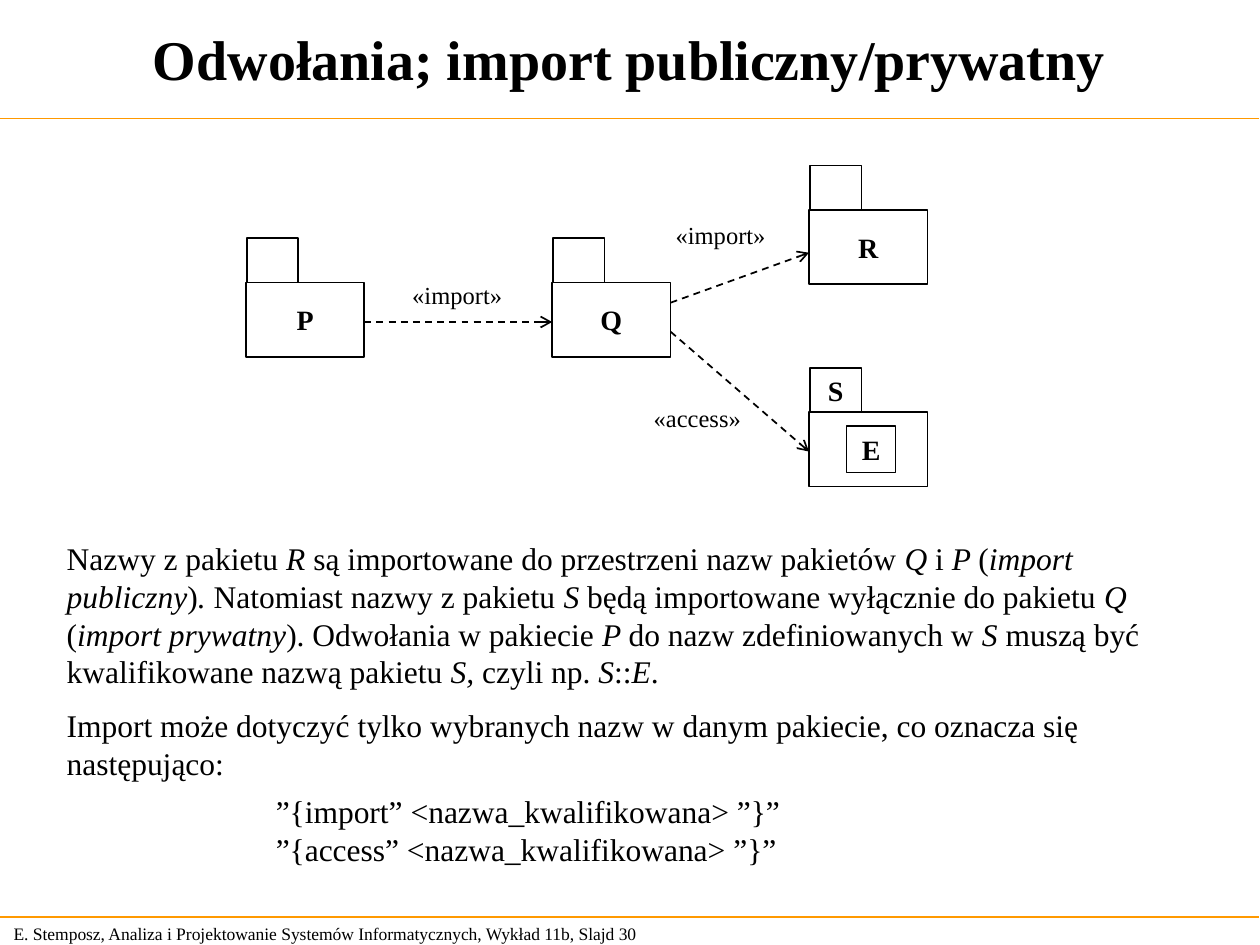
from dataclasses import dataclass
from lxml.etree import SubElement
from pptx import Presentation
from pptx.dml.color import RGBColor as RGB
from pptx.enum.dml import MSO_LINE as Dash
from pptx.enum.shapes import MSO_CONNECTOR as Conn, MSO_SHAPE as Shape
from pptx.enum.text import MSO_ANCHOR as Anchor, MSO_AUTO_SIZE as Fit, PP_ALIGN as Align
from pptx.oxml.ns import qn
from pptx.util import Pt


@dataclass(frozen=True)
class Theme:
    font: str = "Times New Roman"
    ink: RGB = RGB(0, 0, 0)
    rule: RGB = RGB(0xFF, 0x99, 0x00)
    title: int = 32
    body: int = 18
    name: int = 16
    label: int = 14
    foot: int = 10


THEME = Theme()

TITLE = "Odwołania; import publiczny/prywatny"
FOOT = "E. Stemposz, Analiza i Projektowanie Systemów Informatycznych, Wykład 11b, Slajd 30"
# Asterisks enclose italic words
BODY = [
    "Nazwy z pakietu *R *są importowane do przestrzeni nazw pakietów *Q* i *P *"
    "(*import publiczny*)*. *Natomiast nazwy z pakietu *S *będą importowane "
    "wyłącznie do pakietu *Q* (*import prywatny*). Odwołania w pakiecie *P *do nazw "
    "zdefiniowanych w *S *muszą być kwalifikowane nazwą pakietu *S, *czyli np. *S*::*E*.",
    "Import może dotyczyć tylko wybranych nazw w danym pakiecie, "
    "co oznacza się następująco:",
]
SYNTAX = ["”{import” <nazwa_kwalifikowana> ”}”", "”{access” <nazwa_kwalifikowana> ”}”"]

# Package sizes
TAB_W, TAB_H = 29.5, 25.3
PACK_W, PACK_H = 67.7, 42.5


def style(run, size, bold=False, italic=False):
    font = run.font
    font.name, font.size = THEME.font, Pt(size)
    font.bold, font.italic = bold, italic
    font.color.rgb = THEME.ink


def add_text(slide, box, lines, size, wrap=False, gap=0, anchor=Anchor.TOP):
    frame = slide.shapes.add_textbox(*map(Pt, box)).text_frame
    frame.word_wrap, frame.vertical_anchor = wrap, anchor
    for i, line in enumerate(lines):
        para = frame.add_paragraph() if i else frame.paragraphs[0]
        if i:
            para.space_before = Pt(gap)
        for k, part in enumerate(line.split("*")):
            if part:
                run = para.add_run()
                run.text = part
                style(run, size, italic=k % 2 == 1)


def add_line(slide, start, end, color):
    line = slide.shapes.add_connector(Conn.STRAIGHT, *map(Pt, start + end))
    line.line.color.rgb, line.line.width = color, Pt(1)
    SubElement(line._element.spPr, qn("a:effectLst"))
    return line


def add_arrow(slide, start, end):
    line = add_line(slide, start, end, THEME.ink).line
    line.dash_style = Dash.DASH
    SubElement(line._get_or_add_ln(), qn("a:tailEnd"), type="arrow")


def add_rect(slide, box, text=""):
    rect = slide.shapes.add_shape(Shape.RECTANGLE, *map(Pt, box))
    rect.shadow.inherit = False
    rect.fill.background()
    rect.line.color.rgb, rect.line.width = THEME.ink, Pt(1)
    if text:
        frame = rect.text_frame
        frame.text, frame.word_wrap = text, False
        frame.vertical_anchor = Anchor.MIDDLE
        frame.paragraphs[0].alignment = Align.CENTER
        style(frame.paragraphs[0].runs[0], THEME.name, bold=True)


def add_pack(slide, x, y, name="", tab=""):
    add_rect(slide, (x + 0.5, y - TAB_H, TAB_W, TAB_H), tab)
    add_rect(slide, (x, y, PACK_W, PACK_H), name)


def add_title(slide, box):
    title = slide.shapes.title
    title.left, title.top, title.width, title.height = map(Pt, box)
    frame = title.text_frame
    frame.text, frame.word_wrap, frame.auto_size = TITLE, True, Fit.NONE
    frame.vertical_anchor = Anchor.MIDDLE
    frame.paragraphs[0].alignment = Align.CENTER
    style(frame.paragraphs[0].runs[0], THEME.title, bold=True)
    x, y, w, h = box
    add_line(slide, (x, y + h + 1.5), (x + w, y + h + 1.5), THEME.rule)


def add_diagram(slide, box):
    x, y, w, h = box
    right, mid = x + w - PACK_W, y + 67
    spots = {"P": (x, mid), "Q": (x + 175, mid),
             "R": (right, y + TAB_H), "S": (right, y + h - PACK_H)}

    # Packages, with element E inside S
    for name in "PQR":
        add_pack(slide, *spots[name], name=name)
    add_pack(slide, *spots["S"], tab="S")
    left, top = spots["S"]
    add_rect(slide, (left + 21.5, top + 8, 28, 26.5), "E")

    # Arrows: from, height share, to, height share
    for a, out, b, into in [("P", 0.53, "Q", 0.53), ("Q", 0.27, "R", 0.58),
                            ("Q", 0.66, "S", 0.53)]:
        (ax, ay), (bx, by) = spots[a], spots[b]
        add_arrow(slide, (ax + PACK_W, ay + out * PACK_H), (bx, by + into * PACK_H))

    # Arrow labels, with room to stay on one line
    for text, dx, dy in [("«import»", 88, 62), ("«import»", 238.5, 27.5),
                         ("«access»", 226, 132)]:
        add_text(slide, (x + dx, y + dy, 72, 24.5), [text], THEME.label)


def add_body(slide, box):
    x, y, w, h = box
    add_text(slide, (x, y, w, h - 50), BODY, THEME.body, wrap=True, gap=9)
    add_text(slide, (x + 119.5, y + h - 50, 320, 50), SYNTAX, THEME.body)


def add_foot(slide, box):
    x, y, w, h = box
    add_line(slide, (x, y), (x + w, y), THEME.rule)
    add_text(slide, (x + 0.7, y, 390, h), [FOOT], THEME.foot, anchor=Anchor.MIDDLE)


def main():
    deck = Presentation()
    deck.slide_width, deck.slide_height = Pt(720), Pt(540)
    slide = deck.slides.add_slide(deck.slide_layouts[5])
    add_title(slide, (0, 0, 719.5, 66.2))
    add_diagram(slide, (140.5, 94.5, 389.5, 183.5))
    add_body(slide, (31, 304.5, 658, 194.5))
    add_foot(slide, (0, 524, 719.5, 19.4))
    deck.save("out.pptx")


if __name__ == "__main__":
    main()
